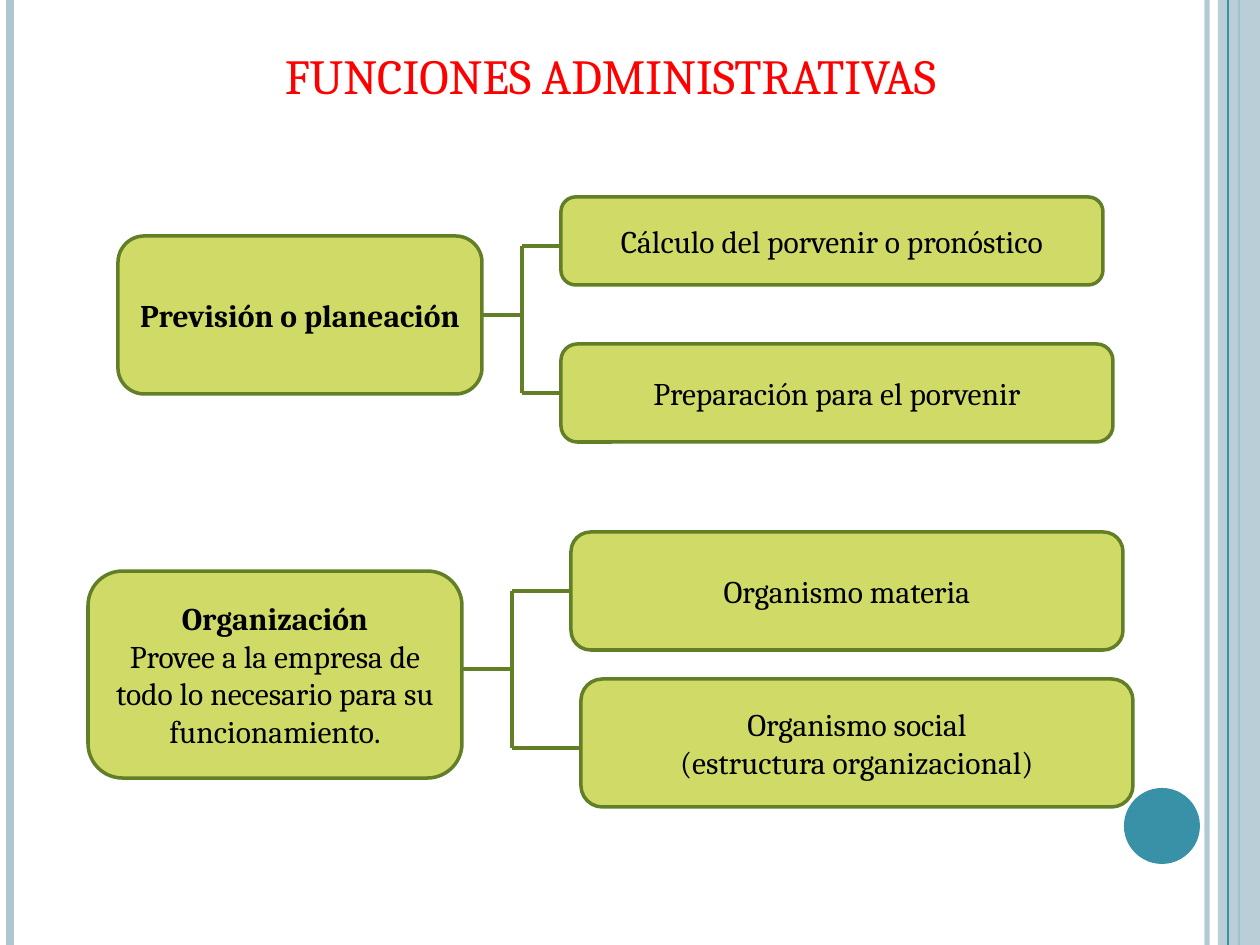
from lxml.etree import SubElement
from pptx import Presentation
from pptx.dml.color import RGBColor
from pptx.enum.shapes import MSO_CONNECTOR, MSO_SHAPE
from pptx.enum.text import MSO_ANCHOR, MSO_AUTO_SIZE, PP_ALIGN
from pptx.oxml.ns import qn
from pptx.util import Emu, Pt

PX = 914400 / 126
WIDTH, HEIGHT = 1260, 945
LEFT, RIGHT = 1, 3  # connection sites
COLORS = {
    "stripe": "AFC7D0",
    "accent": "3891A7",
    "box": "D0DB67",
    "outline": "627E26",
    "title": "FF0000",
    "text": "000000",
}


def px(length):
    return Emu(round(length * PX))


def color(name):
    return RGBColor.from_string(COLORS[name])


def set_alpha(element, percent):
    """Make the solid fill found in the element partly transparent."""
    tint = next(element.iter(qn("a:srgbClr")))
    SubElement(tint, qn("a:alpha")).set("val", str(percent * 1000))


def write(frame, lines, size=18, ink="text", bold_first=False, anchor=MSO_ANCHOR.MIDDLE):
    """Write one centred paragraph per line."""
    frame.word_wrap = True
    frame.auto_size = MSO_AUTO_SIZE.NONE
    frame.vertical_anchor = anchor
    for index, line in enumerate(lines):
        paragraph = frame.paragraphs[0] if index == 0 else frame.add_paragraph()
        paragraph.alignment = PP_ALIGN.CENTER
        run = paragraph.add_run()
        run.text = line
        run.font.name = "Cambria"
        run.font.size = Pt(size)
        run.font.bold = bold_first and index == 0
        run.font.color.rgb = color(ink)


def add_line(slide, start, end, ink="outline", width=2.0):
    line = slide.shapes.add_connector(MSO_CONNECTOR.STRAIGHT, *map(px, start + end))
    line.line.color.rgb = color(ink)
    line.line.width = Pt(width)
    SubElement(line._element.spPr, qn("a:effectLst"))
    return line


def add_area(slide, kind, place, fill):
    area = slide.shapes.add_shape(kind, *map(px, place))
    area.shadow.inherit = False
    area.fill.solid()
    area.fill.fore_color.rgb = color(fill)
    area.line.fill.background()
    return area


def add_box(slide, place, *lines, bold_first=False):
    box = add_area(slide, MSO_SHAPE.FLOWCHART_ALTERNATE_PROCESS, place, "box")
    box.line.color.rgb = color("outline")
    box.line.width = Pt(2)
    write(box.text_frame, lines, bold_first=bold_first)
    return box


def add_frame(slide):
    """Draw the stripes at the edges and the round marker."""
    def stripe(x, ink, width):
        return add_line(slide, (x, 0), (x, HEIGHT), ink, width)

    inner = stripe(1207, "stripe", 3)
    set_alpha(inner._element, 93)
    stripe(10, "stripe", 4.5)
    stripe(1239, "accent", 1.5)
    band = add_area(slide, MSO_SHAPE.RECTANGLE, (1218, 0, 42, HEIGHT), "stripe")
    set_alpha(band._element.spPr, 87)
    stripe(1228, "accent", 0.75)
    add_area(slide, MSO_SHAPE.OVAL, (1124, 788, 76, 76), "accent")


def add_bracket(slide, spine, function, stem_y, parts, branch_ys):
    """Link a function to its parts, joining ends that meet a side's middle."""
    def reaches_middle(box, y):
        return abs(box.top + box.height / 2 - px(y)) <= px(2)

    add_line(slide, (spine, branch_ys[0]), (spine, branch_ys[1]))
    for part, y in zip(parts, branch_ys):
        branch = add_line(slide, (spine, y), (part.left / PX, y))
        if reaches_middle(part, y):
            branch.end_connect(part, LEFT)
    function_edge = (function.left + function.width) / PX
    stem = add_line(slide, (function_edge, stem_y), (spine, stem_y))
    if reaches_middle(function, stem_y):
        stem.begin_connect(function, RIGHT)


def main():
    deck = Presentation()
    deck.slide_width, deck.slide_height = px(WIDTH), px(HEIGHT)
    slide = deck.slides.add_slide(deck.slide_layouts[5])
    add_frame(slide)

    # Title
    title = slide.shapes.title
    title.left, title.top, title.width, title.height = map(px, (59, 39, 1103, 72))
    write(title.text_frame, ["FUNCIONES ADMINISTRATIVAS"], size=28, ink="title",
          anchor=MSO_ANCHOR.TOP)

    # Planning and its parts
    forecast = add_box(slide, (561, 197, 542, 88), "Cálculo del porvenir o pronóstico")
    preparation = add_box(slide, (561, 344, 552, 98), "Preparación para el porvenir")
    planning = add_box(slide, (118, 236, 364, 158), "Previsión o planeación",
                       bold_first=True)
    add_bracket(slide, 522, planning, 315, (forecast, preparation), (246, 393))

    # Organization and its parts
    material = add_box(slide, (571, 532, 552, 118), "Organismo materia")
    social = add_box(slide, (581, 679, 552, 128),
                     "Organismo social", "(estructura organizacional)")
    organization = add_box(
        slide, (88, 571, 374, 207), "Organización",
        "Provee a la empresa de todo lo necesario para su funcionamiento.",
        bold_first=True)
    add_bracket(slide, 512, organization, 669, (material, social), (591, 748))

    deck.save("out.pptx")


if __name__ == "__main__":
    main()
